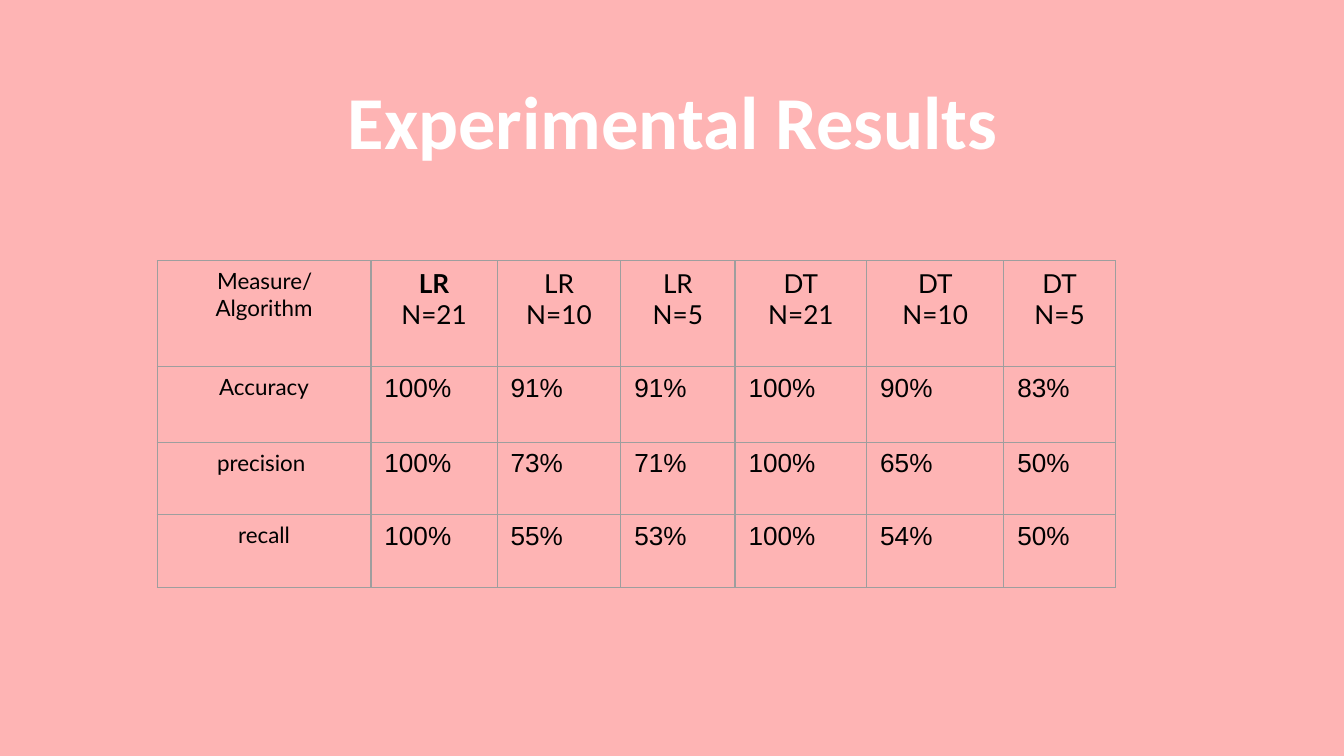
from lxml.etree import SubElement
from pptx import Presentation
from pptx.dml.color import RGBColor
from pptx.enum.text import MSO_ANCHOR as Anchor, MSO_AUTO_SIZE as AutoSize, PP_ALIGN as Align
from pptx.oxml.ns import qn
from pptx.util import Inches, Pt

PINK = RGBColor(0xFE, 0xB4, 0xB4)
WHITE = RGBColor(0xFF, 0xFF, 0xFF)
BLACK = RGBColor(0x00, 0x00, 0x00)
GREY = RGBColor(0x9E, 0x9E, 0x9E)

COLUMN_WIDTHS = [1.59, 0.94, 0.92, 0.85, 0.98, 1.02, 0.83]
ROW_HEIGHTS = [0.79, 0.56, 0.54, 0.54]
CORNER = "Measure/Algorithm"
MODELS = [(name, size) for name in ("LR", "DT") for size in ("N=21", "N=10", "N=5")]
RESULTS = [
    ("Accuracy", ["100%", "91%", "91%", "100%", "90%", "83%"]),
    ("precision ", ["100%", "73%", "71%", "100%", "65%", "50%"]),
    ("recall", ["100%", "55%", "53%", "100%", "54%", "50%"]),
]


def add_span(para, text, size, font, color=BLACK, bold=False):
    span = para.add_run()
    span.text = text
    span.font.size = Pt(size)
    span.font.name = font
    span.font.color.rgb = color
    span.font.bold = bold


def add_title(page, text):
    title = page.shapes.title
    title.left, title.top = Inches(0.79), Inches(0.46)
    title.width, title.height = Inches(8.43), Inches(0.7)
    frame = title.text_frame
    frame.word_wrap = True
    frame.auto_size = AutoSize.NONE
    frame.vertical_anchor = Anchor.TOP
    frame.margin_left = frame.margin_right = Inches(0.1)
    frame.margin_top = frame.margin_bottom = Inches(0.1)
    para = frame.paragraphs[0]
    para.alignment = Align.CENTER
    add_span(para, text, 40, "Calibri", WHITE, True)


def style_cell(cell):
    cell.fill.background()
    properties = cell._tc.get_or_add_tcPr()
    for index, side in enumerate(("a:lnL", "a:lnR", "a:lnT", "a:lnB")):
        line = SubElement(properties, qn(side), w=str(Pt(0.75)))
        fill = SubElement(line, qn("a:solidFill"))
        SubElement(fill, qn("a:srgbClr"), val=str(GREY))
        properties.insert(index, line)


def fill_cell(cell, lines, size, font, align, bold_first=False):
    frame = cell.text_frame
    for index, text in enumerate(lines):
        para = frame.add_paragraph() if index else frame.paragraphs[0]
        para.alignment = align
        add_span(para, text, size, font, bold=bold_first and index == 0)


def add_results_table(page):
    table = page.shapes.add_table(
        len(ROW_HEIGHTS), len(COLUMN_WIDTHS), Inches(1.17), Inches(1.94),
        Inches(sum(COLUMN_WIDTHS)), Inches(sum(ROW_HEIGHTS))).table
    table.first_row = table.horz_banding = False
    for column, width in zip(table.columns, COLUMN_WIDTHS):
        column.width = Inches(width)
    for row, height in zip(table.rows, ROW_HEIGHTS):
        row.height = Inches(height)
    for cell in table.iter_cells():
        style_cell(cell)

    fill_cell(table.cell(0, 0), [CORNER], 12, "Lato", Align.CENTER)
    for column, model in enumerate(MODELS, 1):
        fill_cell(table.cell(0, column), model, 14, "Lato", Align.CENTER, column == 1)
    for row, (measure, values) in enumerate(RESULTS, 1):
        fill_cell(table.cell(row, 0), [measure], 12, "Lato", Align.CENTER)
        for column, value in enumerate(values, 1):
            fill_cell(table.cell(row, column), [value], 14, "Arial", Align.LEFT)


def main():
    deck = Presentation()
    deck.slide_width, deck.slide_height = Inches(10), Inches(10 * 9 / 16)
    page = deck.slides.add_slide(deck.slide_layouts[5])
    page.background.fill.solid()
    page.background.fill.fore_color.rgb = PINK
    add_title(page, "Experimental Results")
    add_results_table(page)
    deck.save("out.pptx")


if __name__ == "__main__":
    main()
